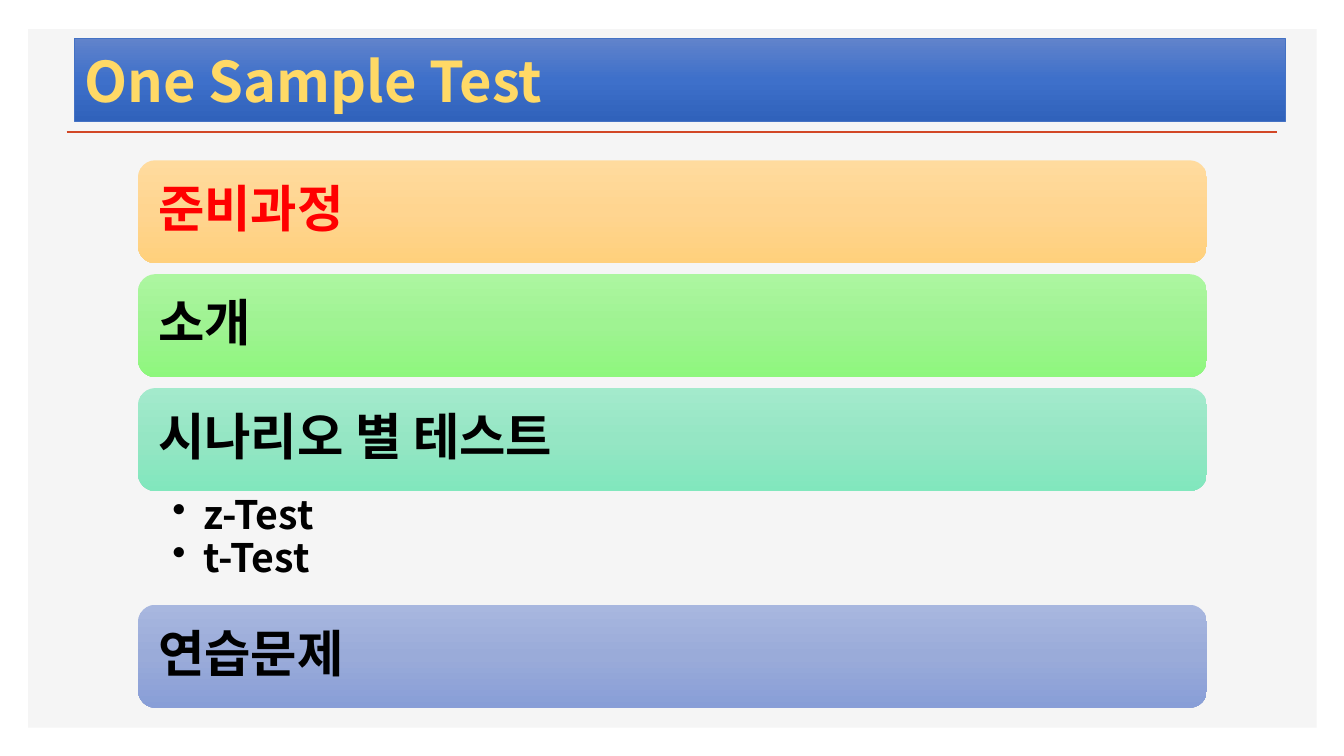
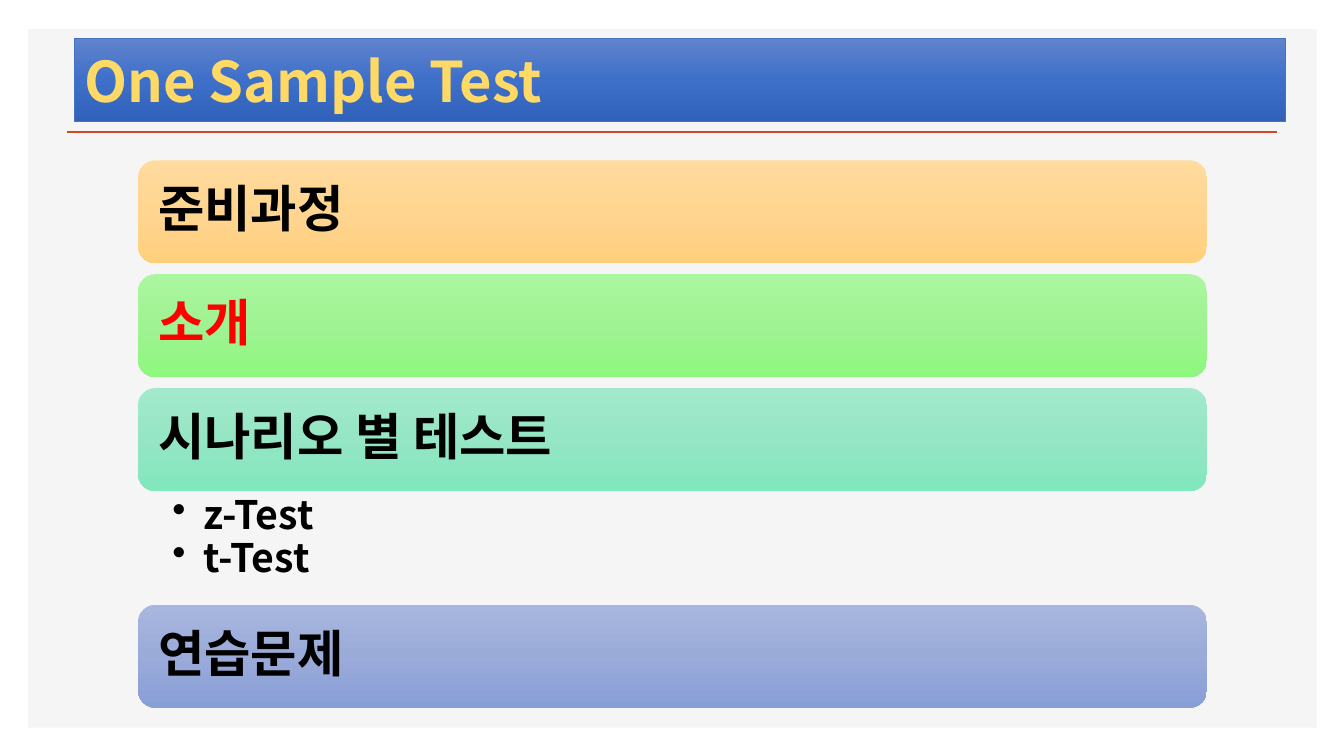
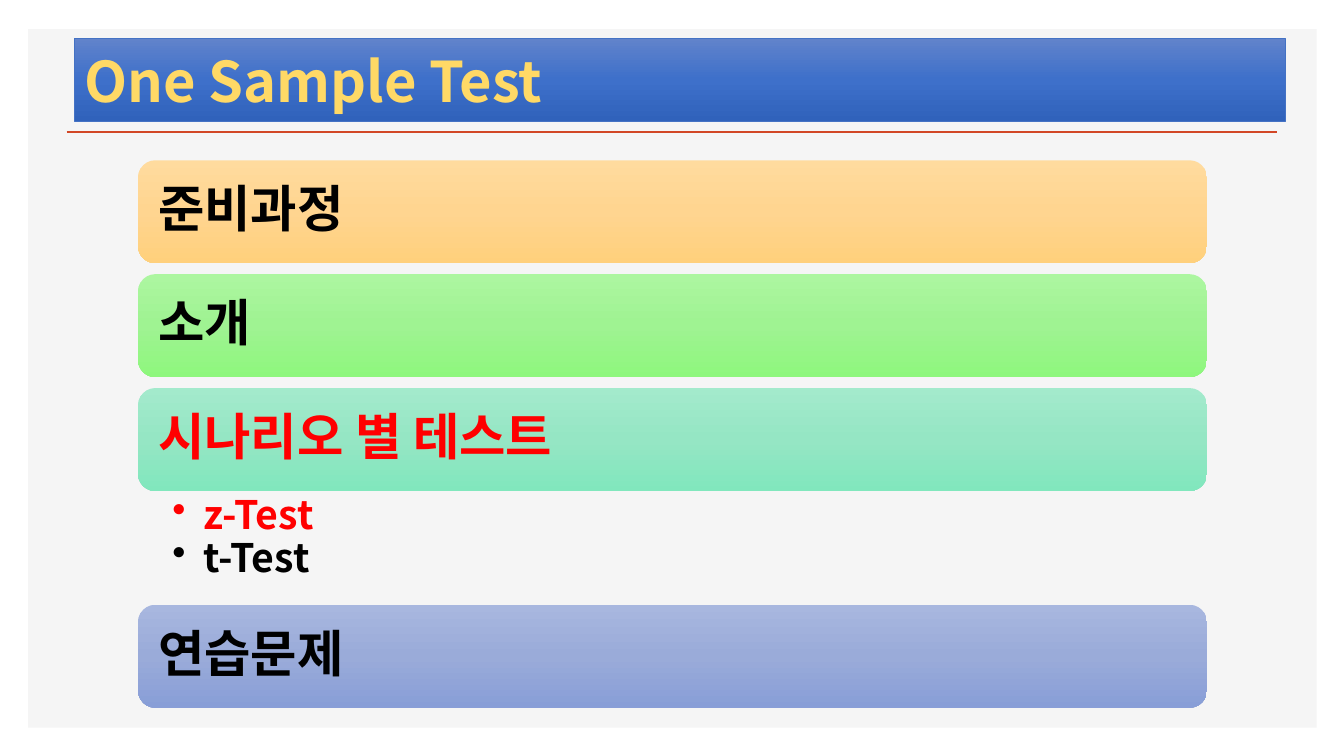
import pptx
import pptx.util
import pptx.dml.color
import pptx.enum.shapes
import pptx.enum.text
import pptx.oxml.ns
from lxml import etree

Inches, Pt = pptx.util.Inches, pptx.util.Pt
qn = pptx.oxml.ns.qn
RGB = pptx.dml.color.RGBColor.from_string
MSO_SHAPE = pptx.enum.shapes.MSO_SHAPE
PP_ALIGN = pptx.enum.text.PP_ALIGN
MSO_ANCHOR = pptx.enum.text.MSO_ANCHOR

# Content
TITLE = "One Sample Test"
AGENDA = [  # heading, gradient name, sub-items
    ("준비과정", "orange", []),
    ("소개", "green", []),
    ("시나리오 별 테스트", "teal", ["z-Test", "t-Test"]),
    ("연습문제", "blue", []),
]
SLIDES = [{"준비과정"}, {"소개"}, {"시나리오 별 테스트", "z-Test"}]  # current items

# Style
FONT = "Noto Sans CJK KR"
COLORS = {
    "panel": "F5F5F5", "rule": "D24726", "title": "FFD966",
    "title_line": "4472C4", "text": "000000", "current": "FF0000",
}
GRADIENTS = {
    "title": ("6183CB", "3E70CA", "3062BB"),
    "orange": ("FFDB9E", "FFD590", "FFD07C"),
    "green": ("ACF6A0", "9FF392", "8EF77D"),
    "teal": ("A3EACC", "95E6C4", "81E7BD"),
    "blue": ("A8B7DF", "9AABD9", "889ED7"),
}
BAR_X, BAR_Y, BAR_W, BAR_H, BAR_GAP = 1.37, 1.59, 10.6, 1.02, 0.11
SUB_H = 1.13


def box(x, y, w, h):
    return Inches(x), Inches(y), Inches(w), Inches(h)


def fill_gradient(shape, name):
    shape.fill.gradient()
    shape.fill.gradient_angle = 270
    stops = shape.element.spPr.find(".//" + qn("a:gsLst"))
    for stop in list(stops):
        stops.remove(stop)
    for i, color in enumerate(GRADIENTS[name]):
        stop = etree.SubElement(stops, qn("a:gs"), pos=str(i * 50000))
        etree.SubElement(stop, qn("a:srgbClr"), val=color)


def set_frame(tf, anchor, left, top, right, bottom):
    tf.word_wrap = True
    tf.auto_size = pptx.enum.text.MSO_AUTO_SIZE.NONE
    tf.vertical_anchor = anchor
    tf.margin_left, tf.margin_top = Inches(left), Inches(top)
    tf.margin_right, tf.margin_bottom = Inches(right), Inches(bottom)


def format_paragraph(p, size, color, spacing=0.9):
    p.alignment = PP_ALIGN.LEFT
    p.line_spacing = spacing
    p.space_before = p.space_after = Pt(0)
    for r in p.runs:
        r.font.size, r.font.bold, r.font.name = Pt(size), True, FONT
        r.font.color.rgb = RGB(COLORS[color])
        etree.SubElement(r.font._element, qn("a:ea"), typeface=FONT)


def add_bullet(p):
    pPr = p._p.get_or_add_pPr()
    pPr.set("marL", str(Inches(0.31)))
    pPr.set("indent", str(-Inches(0.31)))
    etree.SubElement(pPr, qn("a:buChar"), char="•")


def add_backdrop(s, layout):
    """Draw the panel and rule, then move them to the shared layout."""
    panel = s.shapes.add_shape(MSO_SHAPE.RECTANGLE, *box(0.28, 0.29, 12.78, 6.93))
    panel.shadow.inherit = False
    panel.fill.solid()
    panel.fill.fore_color.rgb = RGB(COLORS["panel"])
    panel.line.fill.background()
    rule = s.shapes.add_connector(pptx.enum.shapes.MSO_CONNECTOR.STRAIGHT,
                                  *box(0.66, 1.31, 12.67, 1.31))
    rule.line.color.rgb = RGB(COLORS["rule"])
    rule.line.width = Pt(2)
    etree.SubElement(rule.element.spPr, qn("a:effectLst"))
    tree = layout.placeholders[0].element.getparent()
    for i, shape in enumerate((panel, rule)):
        tree.insert(2 + i, shape.element)


def add_title(s):
    title = s.shapes.title
    title.left, title.top, title.width, title.height = box(0.74, 0.38, 12.01, 0.82)
    fill_gradient(title, "title")
    title.line.color.rgb = RGB(COLORS["title_line"])
    title.line.width = Pt(0.5)
    tf = title.text_frame
    tf.text = TITLE
    set_frame(tf, MSO_ANCHOR.MIDDLE, 0.1, 0.05, 0.1, 0.05)
    format_paragraph(tf.paragraphs[0], 40, "title", 1.0)


def add_bar(s, y, heading, gradient, color):
    bar = s.shapes.add_shape(MSO_SHAPE.ROUNDED_RECTANGLE, *box(BAR_X, y, BAR_W, BAR_H))
    bar.shadow.inherit = False
    fill_gradient(bar, gradient)
    bar.line.fill.background()
    tf = bar.text_frame
    tf.text = heading
    set_frame(tf, MSO_ANCHOR.MIDDLE, 0.15, 0.15, 0.15, 0.15)
    format_paragraph(tf.paragraphs[0], 36, color)


def add_sub_items(s, y, items, current):
    tf = s.shapes.add_textbox(*box(BAR_X, y, BAR_W, SUB_H)).text_frame
    tf.text = "\n".join(items)
    set_frame(tf, MSO_ANCHOR.TOP, 0.34, 0.05, 0.28, 0.05)
    for p in tf.paragraphs:
        p.level = 1
        format_paragraph(p, 28, "current" if p.text in current else "text")
        add_bullet(p)


def add_agenda(s, current):
    y = BAR_Y
    for heading, gradient, items in AGENDA:
        add_bar(s, y, heading, gradient, "current" if heading in current else "text")
        y += BAR_H
        if items:
            add_sub_items(s, y, items, current)
            y += SUB_H
        else:
            y += BAR_GAP


def main():
    prs = pptx.Presentation()
    prs.slide_width, prs.slide_height = Inches(13.33), Inches(7.5)
    layout = prs.slide_layouts[5]
    for i, current in enumerate(SLIDES):
        s = prs.slides.add_slide(layout)
        if i == 0:
            add_backdrop(s, layout)
        add_title(s)
        add_agenda(s, current)
    prs.save("out.pptx")


if __name__ == "__main__":
    main()
